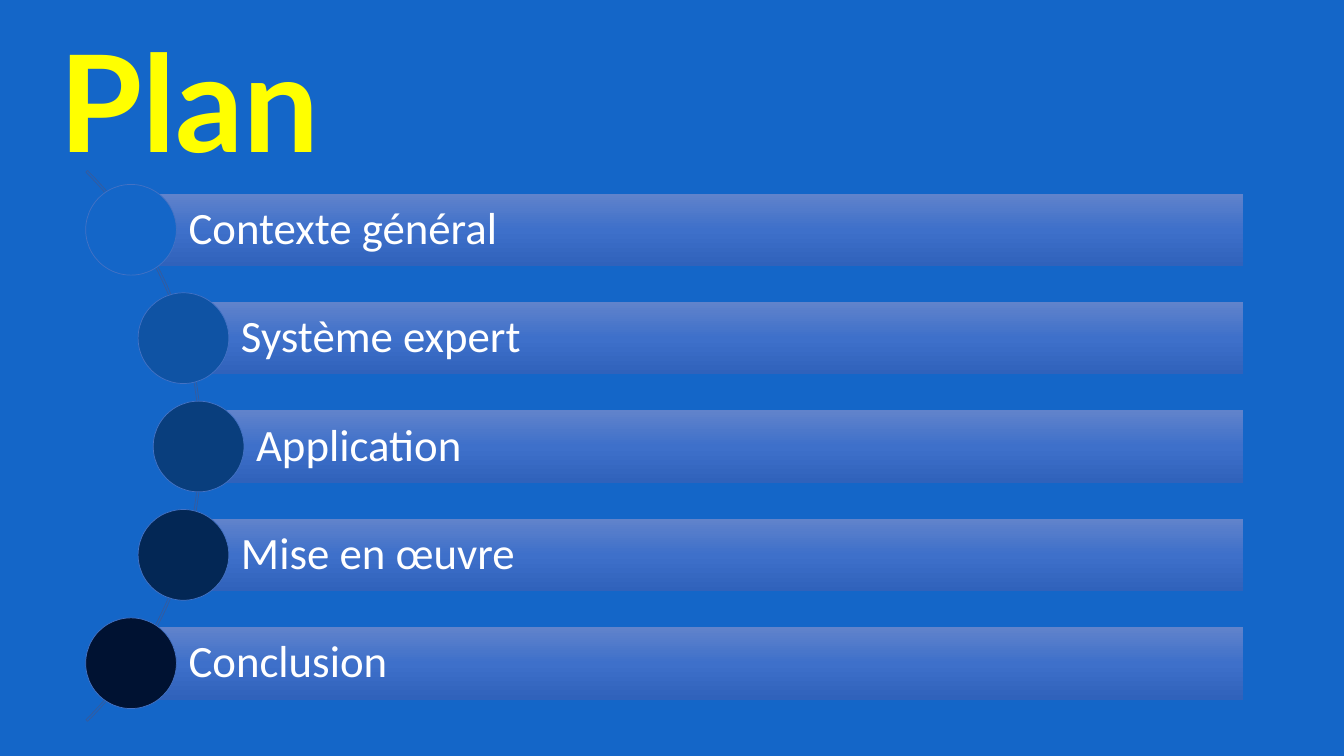
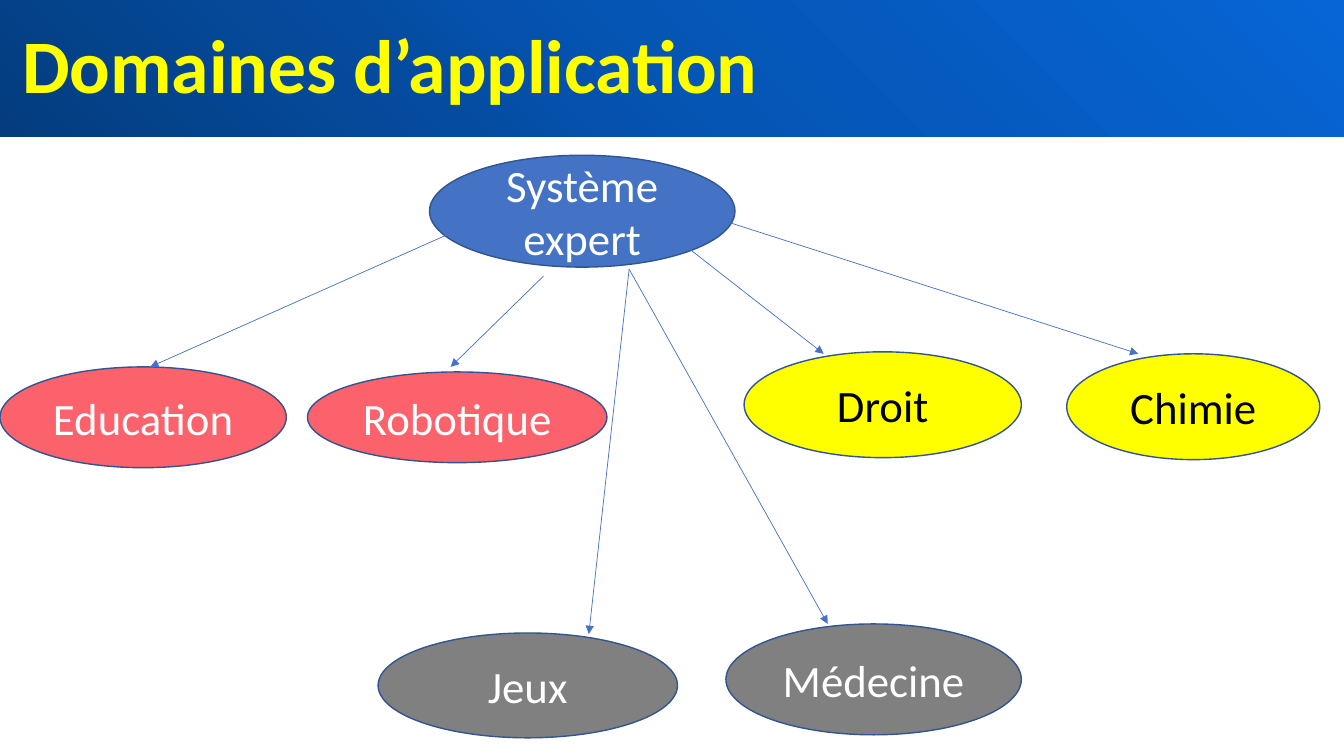
from lxml import etree
from pptx import Presentation
from pptx.dml.color import RGBColor
from pptx.enum.shapes import MSO_CONNECTOR, MSO_SHAPE
from pptx.enum.text import MSO_ANCHOR, PP_ALIGN
from pptx.oxml.ns import qn
from pptx.util import Inches, Pt

RECT, OVAL, ARC = MSO_SHAPE.RECTANGLE, MSO_SHAPE.OVAL, MSO_SHAPE.BLOCK_ARC
LINE = MSO_CONNECTOR.STRAIGHT
MIDDLE = MSO_ANCHOR.MIDDLE
LEFT, CENTER = PP_ALIGN.LEFT, PP_ALIGN.CENTER

BLUE, ACCENT, EDGE = "1466C8", "4472C4", "325491"
YELLOW, WHITE, BLACK = "FFFF00", "FFFFFF", "000000"
RED, GREY = "FB626C", "808080"
BAR = ["6183CB", "3E70CA", "3062BB"]
BAND = ["043C7E", "0555B4", "0765D5"]


def color(code):
    return RGBColor.from_string(code)


def add(slide, kind, box, fill=None, angle=0, line=None, width=0.5, text="",
        size=32, ink=WHITE, font="Calibri", bold=False, align=LEFT, inset=0.1):
    """Add a shape; a list as fill makes an even gradient at the angle."""
    shape = slide.shapes.add_shape(kind, *map(Inches, box))
    shape.shadow.inherit = False
    if isinstance(fill, list):
        shape.fill.gradient()
        shape.fill.gradient_angle = (360 - angle) % 360
        stops = shape.element.spPr.find(qn("a:gradFill")).find(qn("a:gsLst"))
        for stop in list(stops):
            stops.remove(stop)
        for i, code in enumerate(fill):
            stop = etree.SubElement(stops, qn("a:gs"), pos=str(i * 50000))
            etree.SubElement(stop, qn("a:srgbClr"), val=code)
    elif fill:
        shape.fill.solid()
        shape.fill.fore_color.rgb = color(fill)
    else:
        shape.fill.background()
    if line:
        shape.line.color.rgb = color(line)
        shape.line.width = Pt(width)
    else:
        shape.line.fill.background()
    if text:
        frame = shape.text_frame
        frame.word_wrap = True
        frame.vertical_anchor = MIDDLE
        frame.margin_left = Inches(inset)
        frame.margin_right = Inches(0.05)
        para = frame.paragraphs[0]
        para.text = text
        para.alignment = align
        para.line_spacing = 1 if align == CENTER else 0.9
        para.font.name, para.font.size = font, Pt(size)
        para.font.bold = bold
        para.font.color.rgb = color(ink)
    return shape


title = dict(ink=YELLOW, bold=True)

deck = Presentation()
deck.slide_width, deck.slide_height = Inches(13.33), Inches(7.5)
blank = deck.slide_layouts[6]

# Plan: title and arc
plan = deck.slides.add_slide(blank)
plan.background.fill.solid()
plan.background.fill.fore_color.rgb = color(BLUE)
add(plan, RECT, (0.49, 0.17, 3.73, 1.83), text="Plan", size=96, font="Lato",
    **title)
arc = add(plan, ARC, (-5.73, 0.56, 7.73, 7.73), line="365B9D")
for i, value in enumerate((189, 27, 0.003)):
    arc.adjustments[i] = value

# Plan: one bar and one disc per part
parts = [
    ("Contexte général", 1.3, BLUE),
    ("Système expert", 1.82, "0F53A4"),
    ("Application", 1.97, "093E7D"),
    ("Mise en œuvre", 1.82, "032755"),
    ("Conclusion", 1.3, "001232"),
]
right, high, disc = 12.33, 0.72, 0.9
for i, (name, x, fill) in enumerate(parts):
    mid = 2.28 + i * 1.075
    add(plan, RECT, (x, mid - high / 2, right - x, high), BAR, 90,
        text=name, inset=0.57)
    add(plan, OVAL, (x - disc / 2, mid - disc / 2, disc, disc), fill,
        line=ACCENT)

# Domains: title band
fields = deck.slides.add_slide(blank)
add(fields, RECT, (0, 0, 13.33, 1.36), BAND, 315,
    text="Domaines d’application", size=54, inset=0.22, **title)

# Domains: ovals
ovals = [
    ("Système expert", (4.26, 1.54, 3.03, 1.11), ACCENT, WHITE),
    ("Education", (0, 3.64, 2.84, 1), RED, WHITE),
    ("Robotique", (3.05, 3.69, 2.97, 0.9), RED, WHITE),
    ("Droit", (7.38, 3.49, 2.75, 1.05), YELLOW, BLACK),
    ("Chimie", (10.58, 3.51, 2.51, 1.05), YELLOW, BLACK),
    ("Jeux", (3.75, 6.28, 2.97, 1.04), GREY, WHITE),
    ("Médecine", (7.2, 6.19, 2.93, 1.1), GREY, WHITE),
]
for name, box, fill, ink in ovals:
    add(fields, OVAL, box, fill, line=EDGE, width=1, text=name, ink=ink,
        align=CENTER, inset=0.05)

# Domains: arrows
arrows = [
    (6.85, 2.48, 8.17, 3.51),
    (5.39, 2.74, 4.47, 3.64),
    (4.59, 2.26, 1.49, 3.64),
    (6.24, 2.67, 8.21, 6.19),
    (7.21, 2.2, 11.29, 3.51),
    (6.24, 2.67, 5.84, 6.29),
]
for ends in arrows:
    arrow = fields.shapes.add_connector(LINE, *map(Inches, ends))
    arrow.line.color.rgb = color(ACCENT)
    arrow.line.width = Pt(0.5)
    etree.SubElement(arrow.line._get_or_add_ln(), qn("a:tailEnd"),
                     type="triangle")
    etree.SubElement(arrow._element.spPr, qn("a:effectLst"))

deck.save("out.pptx")
